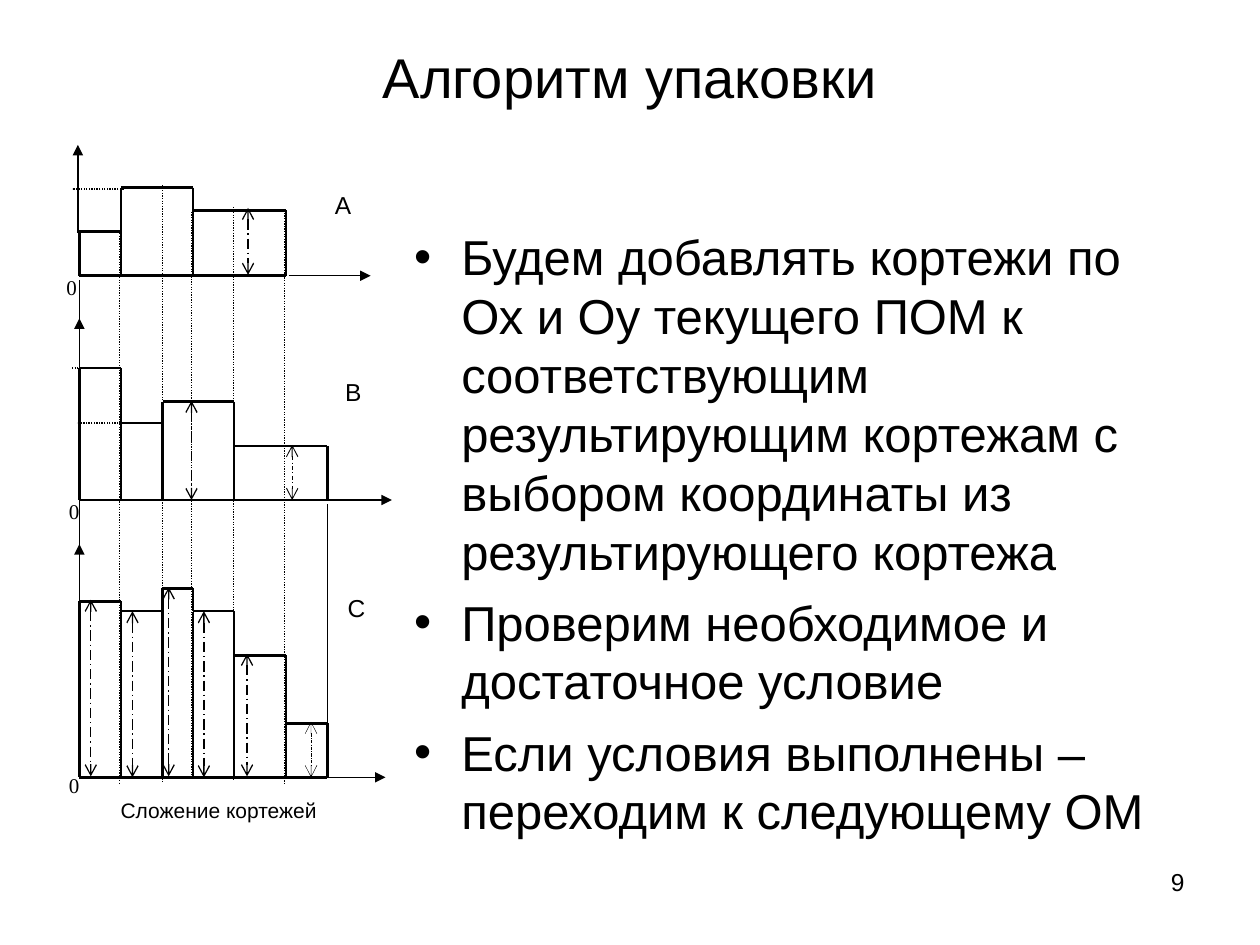
from dataclasses import dataclass, field

from lxml import etree
from pptx import Presentation
from pptx import util as u
from pptx.dml.color import RGBColor
from pptx.enum import dml, shapes, text
from pptx.oxml import ns

INK = {"line": "000000", "text": "000000"}
DOT = dml.MSO_LINE.ROUND_DOT
LONG = dml.MSO_LINE.LONG_DASH_DOT
SHORT = dml.MSO_LINE.DASH_DOT
LEFT, MID, RIGHT = text.PP_ALIGN.LEFT, text.PP_ALIGN.CENTER, text.PP_ALIGN.RIGHT
EDGES = [1.6, 2.44, 3.28, 3.89, 4.72, 5.77, 6.6]


@dataclass
class Line:
    x1: float
    y1: float
    x2: float
    y2: float
    width: float = 0.75
    dash: object = None
    head: str = ""
    tail: str = ""


@dataclass
class Label:
    box: tuple
    lines: list
    size: float
    face: str = "Arial"
    align: object = LEFT
    form: dict = field(default_factory=dict)
    bullet: bool = False


@dataclass
class Plot:
    """Bar outline: cuts index EDGES, tops are the y of each bar.

    Walls maps a cut with a separate step line to the top of its wall.
    """
    base: float
    cuts: list
    tops: list
    walls: dict
    rise: tuple
    run: float
    zero: tuple
    name: Label


@dataclass
class Span:
    x: float
    top: float
    base: float
    width: float = 0.75
    dash: object = LONG


PLOTS = [
    Plot(5.56, [0, 1, 3, 5], [4.67, 3.78, 4.24], {3: 4.01},
         (1.57, 4.7), 5.82, (1.09, 5.41),
         Label((6.5, 3.71, 1.04, 1.04), ["А"], 14)),
    Plot(10.08, [0, 1, 2, 4, 6], [7.42, 8.53, 8.1, 8.99], {2: 8.51},
         (1.6, 8.2), 6.25, (1.14, 9.93),
         Label((6.71, 7.47, 0.84, 1.12), ["В"], 14)),
    Plot(15.67, [0, 1, 2, 3, 4, 5, 6], [12.12, 12.32, 11.86, 12.32, 13.21, 14.58],
         {1: 12.32, 2: 12.27, 3: 12.34, 4: 12.37, 5: 14.35},
         (1.6, 12.75), 6.12, (1.14, 15.44),
         Label((6.76, 11.84, 0.84, 1.12), ["С"], 14)),
]

GUIDES = [
    Line(2.41, 4.7, 2.41, 15.82, dash=DOT),
    Line(3.28, 3.73, 3.28, 15.75, dash=DOT),
    Line(3.86, 4.27, 3.86, 15.62, dash=DOT),
    Line(4.7, 4.17, 4.7, 15.72, dash=DOT),
    Line(5.74, 4.24, 5.74, 15.8, dash=DOT),
    Line(2.49, 3.81, 1.45, 3.81, dash=DOT),
    Line(1.45, 7.42, 1.68, 7.42, dash=DOT),
    Line(2.59, 8.53, 1.55, 8.53, dash=DOT),
    Line(1.6, 5.64, 1.6, 14.1),
    Line(6.6, 10.16, 6.6, 15.29),
    Line(4.72, 13, 4.72, 13.23),
]

SPANS = [
    Span(5, 4.19, 5.54),
    Span(3.86, 8.08, 10.08),
    Span(5.89, 8.97, 10.08, 0.5, SHORT),
    Span(1.83, 12.09, 15.65),
    Span(2.67, 12.32, 15.67),
    Span(3.4, 11.84, 15.65),
    Span(4.11, 12.32, 15.67),
    Span(4.98, 13.18, 15.65),
    Span(6.27, 14.55, 15.67, 0.25),
]

LABELS = [
    Label((1.27, 0.76, 22.86, 1.55), ["Алгоритм упаковки"], 32, align=MID,
          form={"vertical_anchor": text.MSO_ANCHOR.MIDDLE}),
    Label((1.02, 15.95, 6.78, 0.74), ["Сложение кортежей"], 12, align=MID),
    Label((8.1, 4.45, 16.03, 12.57), [
        "Будем добавлять кортежи по Ох и Оу текущего ПОМ к соответствующим "
        "результирующим кортежам с выбором координаты из результирующего кортежа",
        "Проверим необходимое и достаточное условие",
        "Если условия выполнены – переходим к следующему ОМ",
    ], 28, bullet=True),
    Label((18.21, 17.35, 5.92, 1.32), ["9"], 14, align=RIGHT),
]


def apply(item, form: dict) -> None:
    for key, val in form.items():
        setattr(item, key, val)


def draw_line(slide, line: Line) -> None:
    ends = map(u.Cm, (line.x1, line.y1, line.x2, line.y2))
    link = slide.shapes.add_connector(shapes.MSO_CONNECTOR.STRAIGHT, *ends)
    link.line.color.rgb = RGBColor.from_string(INK["line"])
    link.line.width = u.Pt(line.width)
    if line.dash is not None:
        link.line.dash_style = line.dash
    stroke = link.line._get_or_add_ln()
    for tag, kind in (("a:headEnd", line.head), ("a:tailEnd", line.tail)):
        if kind:
            etree.SubElement(stroke, ns.qn(tag), type=kind)
    etree.SubElement(link._element.spPr, ns.qn("a:effectLst"))


def add_bullet(para) -> None:
    props = para._p.get_or_add_pPr()
    props.set("marL", str(u.Cm(0.95)))
    props.set("indent", str(u.Cm(-0.95)))
    etree.SubElement(props, ns.qn("a:buFont"), typeface="Arial")
    etree.SubElement(props, ns.qn("a:buChar"), char="•")


def draw_label(slide, label: Label) -> None:
    frame = slide.shapes.add_textbox(*map(u.Cm, label.box)).text_frame
    apply(frame, {"word_wrap": True, **label.form})
    for num, words in enumerate(label.lines):
        para = frame.add_paragraph() if num else frame.paragraphs[0]
        if label.bullet:
            add_bullet(para)
        para.alignment = label.align
        if num:
            para.space_before = u.Pt(7)
        run = para.add_run()
        run.text = words
        apply(run.font, {"name": label.face, "size": u.Pt(label.size)})
        run.font.color.rgb = RGBColor.from_string(INK["text"])


def draw_plot(slide, plot: Plot) -> None:
    xs = [EDGES[cut] for cut in plot.cuts]
    base, tops = plot.base, plot.tops
    draw_line(slide, Line(xs[0], base, xs[-1], base, 1.5))
    for left, right, top in zip(xs, xs[1:], tops):
        draw_line(slide, Line(left, top, right, top, 1.5))
    # Each wall reaches the taller of its two neighbours.
    for cut, x, one, two in zip(plot.cuts, xs, [base] + tops, tops + [base]):
        high, low = sorted((one, two))
        if cut in plot.walls:
            draw_line(slide, Line(x, high, x, low, 1.5))
        draw_line(slide, Line(x, plot.walls.get(cut, high), x, base, 1.5))
    x, y = plot.rise
    draw_line(slide, Line(x, y, x, y - 1.78, tail="triangle"))
    draw_line(slide, Line(plot.run, base, plot.run + 1.65, base, tail="triangle"))
    draw_label(slide, Label((*plot.zero, 0.64, 0.66), ["0"], 12, "Times New Roman"))
    draw_label(slide, plot.name)


def main() -> None:
    deck = Presentation()
    apply(deck, {"slide_width": u.Cm(25.4), "slide_height": u.Cm(19.05)})
    slide = deck.slides.add_slide(deck.slide_layouts[6])
    for guide in GUIDES:
        draw_line(slide, guide)
    for plot in PLOTS:
        draw_plot(slide, plot)
    for span in SPANS:
        draw_line(slide, Line(span.x, span.top, span.x, span.base, span.width,
                              span.dash, "arrow", "arrow"))
    for label in LABELS:
        draw_label(slide, label)
    deck.save("out.pptx")


if __name__ == "__main__":
    main()
